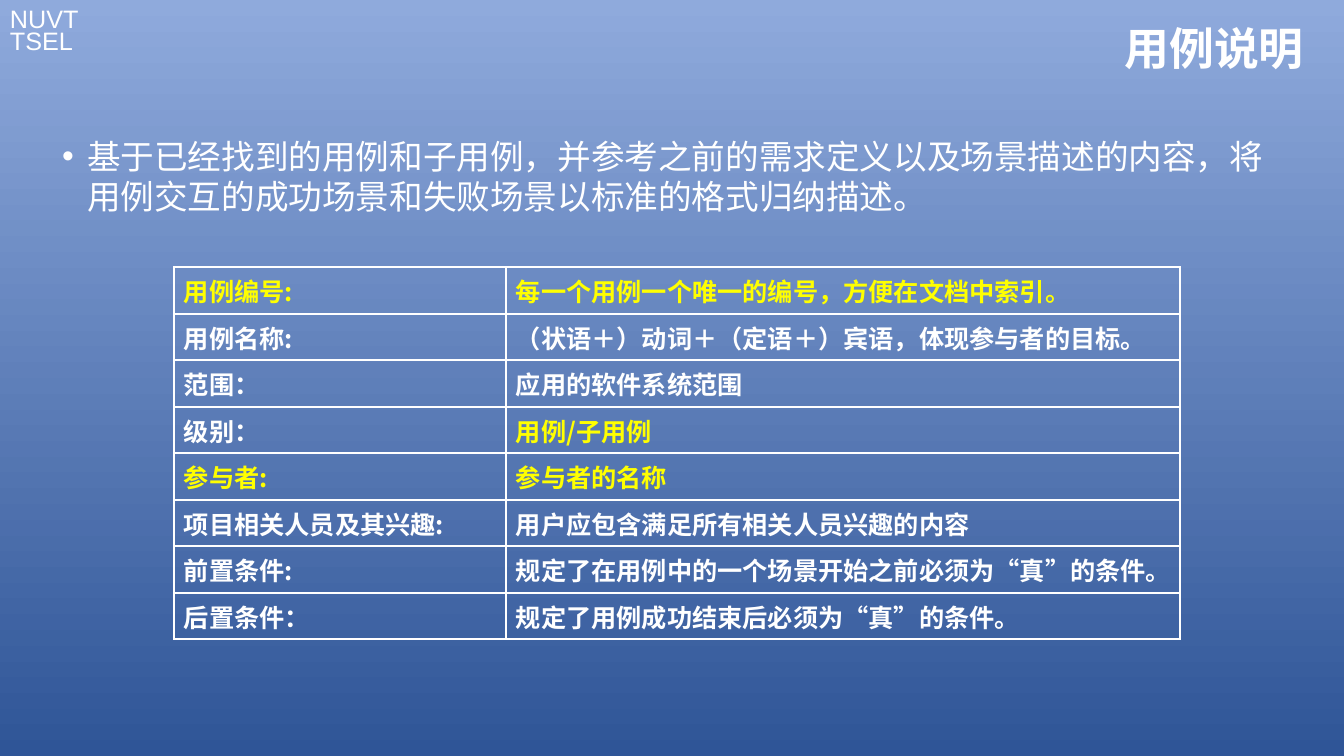
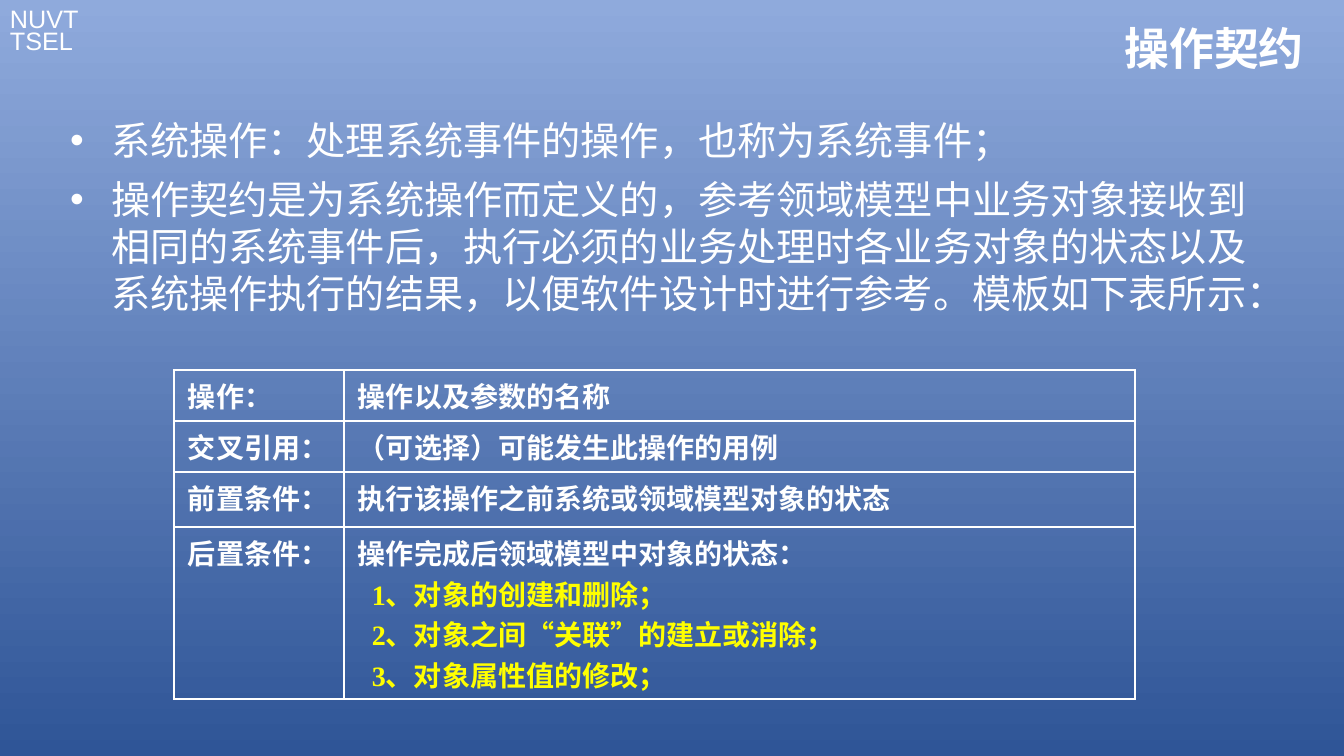
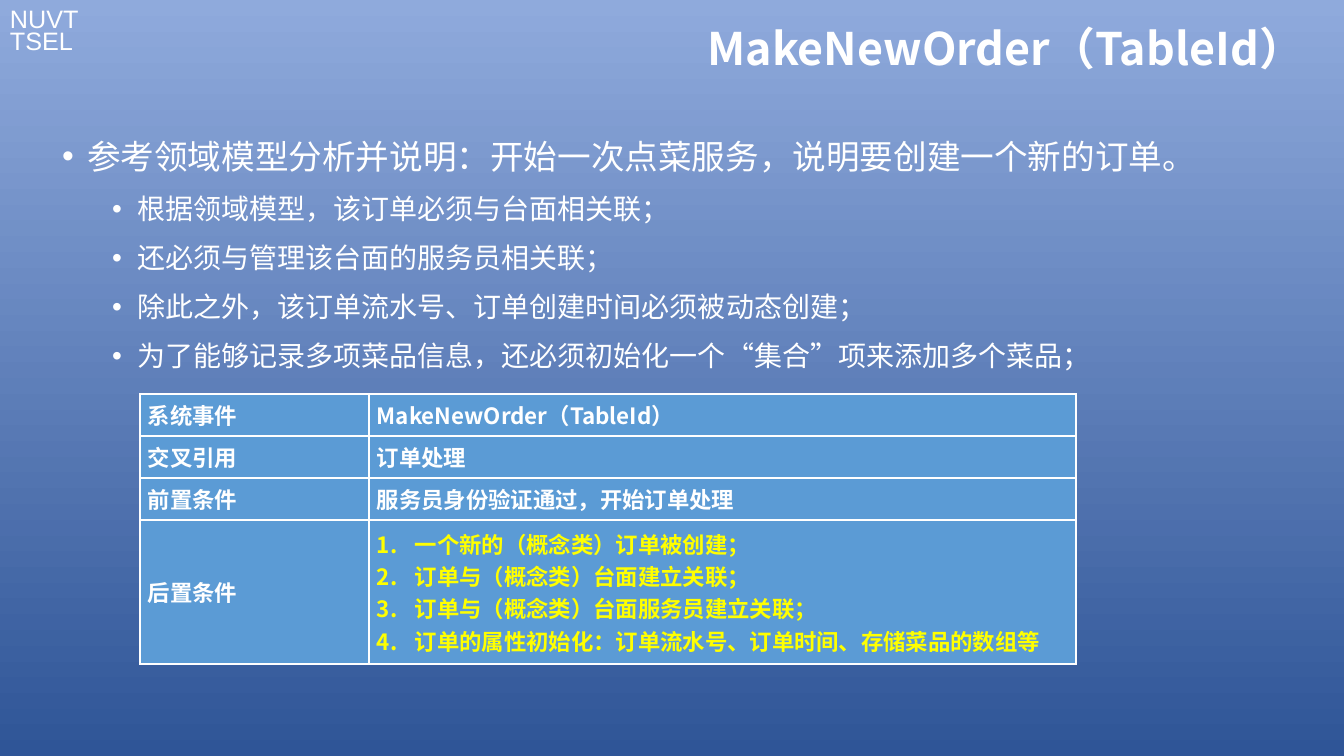
from dataclasses import dataclass

from lxml.etree import SubElement
from pptx import Presentation
from pptx.dml.color import RGBColor
from pptx.enum.text import MSO_ANCHOR as Anchor, MSO_AUTO_SIZE as AutoSize, PP_ALIGN as Align
from pptx.oxml.ns import qn
from pptx.util import Emu, Pt

WHITE = RGBColor(0xFF, 0xFF, 0xFF)
YELLOW = RGBColor(0xFF, 0xFF, 0x00)
CELL_BLUE = RGBColor(0x5B, 0x9B, 0xD5)
SKY = RGBColor(0x8F, 0xAA, 0xDC)
NAVY = RGBColor(0x2F, 0x55, 0x97)

SANS = "Noto Sans CJK SC"
SERIF = "Times New Roman"
ARIAL = "Arial"

PAGE_WIDTH, PAGE_HEIGHT = 1344, 756
EMU_PER_PX = 12192000 / PAGE_WIDTH
BODY_AREA = (52, 131, 1230, 549)


def px(length):
    return Emu(round(length * EMU_PER_PX))


@dataclass
class Line:
    """One paragraph of a table cell."""
    text: str
    color: RGBColor = WHITE
    indent: int = 0
    numbered: bool = False


def yellow(text, **options):
    return Line(text, YELLOW, **options)


class Deck:
    def __init__(self):
        self.file = Presentation()
        self.file.slide_width = px(PAGE_WIDTH)
        self.file.slide_height = px(PAGE_HEIGHT)
        self.page = None
        fill = self.file.slide_master.background.fill
        fill.gradient()
        fill.gradient_angle = 270
        for stop, color in zip(fill.gradient_stops, (SKY, NAVY)):
            stop.color.rgb = color

    def add_page(self, title):
        self.page = self.file.slides.add_slide(self.file.slide_layouts[1])
        self.brand()
        shape = self.page.shapes.title
        self.place(shape, 175, 15, 1139, 72)
        frame = shape.text_frame
        frame.auto_size = AutoSize.NONE
        frame.vertical_anchor = Anchor.MIDDLE
        para = frame.paragraphs[0]
        para.text = title
        para.alignment = Align.RIGHT
        para.line_spacing = 0.9
        self.style(para, 32, bold=True)

    def brand(self):
        box = self.page.shapes.add_textbox(px(0), px(5), px(153), px(57))
        box.text_frame.word_wrap = True
        para = box.text_frame.paragraphs[0]
        para.text = "NUVT\vTSEL"
        para.line_spacing = 0.75
        self.style(para, 18, font=ARIAL)

    def place(self, shape, left, top, width, height):
        shape.left, shape.top = px(left), px(top)
        shape.width, shape.height = px(width), px(height)

    def style(self, para, size, color=WHITE, font=SANS, bold=False):
        para.font.size = Pt(size)
        para.font.bold = bold
        para.font.color.rgb = color
        para.font.name = font
        defaults = para._p.get_or_add_pPr().find(qn("a:defRPr"))
        SubElement(defaults, qn("a:ea")).set("typeface", SANS)

    def indent(self, para, left, hanging=0):
        props = para._p.get_or_add_pPr()
        props.set("marL", str(px(left)))
        props.set("indent", str(-px(hanging)))
        return props

    def bullets(self, items, area, sizes, hanging, gap):
        """Fill the body with (level, text) items; sizes holds points by level."""
        body = self.page.placeholders[1]
        self.place(body, *area)
        frame = body.text_frame
        frame.auto_size = AutoSize.NONE
        frame.vertical_anchor = Anchor.TOP
        for index, (level, text) in enumerate(items):
            para = frame.add_paragraph() if index else frame.paragraphs[0]
            para.text = text
            para.level = level
            para.line_spacing = 1.0
            para.space_before = Pt(0)
            para.space_after = Pt(gap)
            props = self.indent(para, hanging + 50 * level, hanging)
            SubElement(props, qn("a:buFont")).set("typeface", ARIAL)
            SubElement(props, qn("a:buChar")).set("char", "•")
            self.style(para, sizes[level])

    def table(self, rows, at, widths, heights, size, insets, font=SANS,
              fill=None, anchor=Anchor.TOP):
        """Draw a table; a None joins its cell to the one on its left."""
        frame = self.page.shapes.add_table(
            len(rows), len(widths), px(at[0]), px(at[1]), px(sum(widths)), px(sum(heights)))
        grid = frame.table
        grid.first_row = grid.horz_banding = False
        for column, width in zip(grid.columns, widths):
            column.width = px(width)
        for row, height, contents in zip(grid.rows, heights, rows):
            row.height = px(height)
            owner = None
            for cell, content in zip(row.cells, contents):
                cell.margin_left = cell.margin_right = px(insets[0])
                cell.margin_top = cell.margin_bottom = px(insets[1])
                cell.vertical_anchor = anchor
                self.border(cell)
                if fill is None:
                    cell.fill.background()
                else:
                    cell.fill.solid()
                    cell.fill.fore_color.rgb = fill
                if content is not None:
                    owner, last = cell, None
                    self.fill_cell(cell, content, size, font)
                else:
                    last = cell
                    if owner.is_merge_origin:
                        owner.split()
                    owner.merge(last)

    def fill_cell(self, cell, content, size, font):
        """Write a string, a Line or a list of Lines."""
        lines = content if isinstance(content, list) else [content]
        for index, line in enumerate(lines):
            if isinstance(line, str):
                line = Line(line)
            frame = cell.text_frame
            para = frame.add_paragraph() if index else frame.paragraphs[0]
            para.text = line.text
            props = self.indent(para, line.indent, line.indent if line.numbered else 0)
            if line.numbered:
                SubElement(props, qn("a:buFont")).set("typeface", SANS)
                SubElement(props, qn("a:buAutoNum")).set("type", "arabicPeriod")
            self.style(para, size, line.color, font, bold=True)

    def border(self, cell):
        props = cell._tc.get_or_add_tcPr()
        for side in ("a:lnL", "a:lnR", "a:lnT", "a:lnB"):
            edge = SubElement(props, qn(side))
            edge.set("w", str(Pt(1)))
            paint = SubElement(edge, qn("a:solidFill"))
            SubElement(paint, qn("a:srgbClr")).set("val", str(WHITE))


def use_case_page(deck):
    deck.add_page("用例说明")
    deck.bullets(
        [(0, "基于已经找到的用例和子用例，并参考之前的需求定义以及场景描述的内容，"
             "将用例交互的成功场景和失败场景以标准的格式归纳描述。")],
        area=BODY_AREA, sizes=[24], hanging=25, gap=11)
    fields = [
        (yellow("用例编号:"), yellow("每一个用例一个唯一的编号，方便在文档中索引。")),
        ("用例名称:", "（状语＋）动词＋（定语＋）宾语，体现参与者的目标。"),
        ("范围：", "应用的软件系统范围"),
        ("级别：", yellow("用例/子用例")),
        (yellow("参与者:"), yellow("参与者的名称")),
        ("项目相关人员及其兴趣:", "用户应包含满足所有相关人员兴趣的内容"),
        ("前置条件:", "规定了在用例中的一个场景开始之前必须为“真”的条件。"),
        ("后置条件：", "规定了用例成功结束后必须为“真”的条件。"),
    ]
    rows = [(label, None, None, meaning) for label, meaning in fields]
    deck.table(rows, at=(174, 267), widths=[97, 177, 58, 674], heights=[47, 46] * 4,
               size=18, insets=(10, 5))


def contract_page(deck):
    deck.add_page("操作契约")
    deck.bullets(
        [(0, "系统操作：处理系统事件的操作，也称为系统事件；"),
         (0, "操作契约是为系统操作而定义的，参考领域模型中业务对象接收到相同的系统事件后，"
             "执行必须的业务处理时各业务对象的状态以及系统操作执行的结果，"
             "以便软件设计时进行参考。模板如下表所示：")],
        area=(60, 111, 1223, 207), sizes=[28], hanging=41, gap=8.6)
    effects = ["1、对象的创建和删除；", "2、对象之间“关联”的建立或消除；", "3、对象属性值的修改；"]
    rows = [
        ("操作：", "操作以及参数的名称"),
        ("交叉引用：", "（可选择）可能发生此操作的用例"),
        ("前置条件：", "执行该操作之前系统或领域模型对象的状态"),
        ("后置条件：", [Line("操作完成后领域模型中对象的状态：")]
         + [yellow(effect, indent=14) for effect in effects]),
    ]
    deck.table(rows, at=(174, 370), widths=[170, 791], heights=[51, 51, 55, 172],
               size=20, insets=(14, 5), font=SERIF)


def order_page(deck):
    operation = "MakeNewOrder（TableId）"
    deck.add_page(operation)
    deck.bullets(
        [(0, "参考领域模型分析并说明：开始一次点菜服务，说明要创建一个新的订单。"),
         (1, "根据领域模型，该订单必须与台面相关联；"),
         (1, "还必须与管理该台面的服务员相关联；"),
         (1, "除此之外，该订单流水号、订单创建时间必须被动态创建；"),
         (1, "为了能够记录多项菜品信息，还必须初始化一个“集合”项来添加多个菜品；")],
        area=BODY_AREA, sizes=[24, 20], hanging=25, gap=11)
    effects = ["一个新的（概念类）订单被创建；", "订单与（概念类）台面建立关联；",
               "订单与（概念类）台面服务员建立关联；",
               "订单的属性初始化：订单流水号、订单时间、存储菜品的数组等"]
    rows = [
        ("系统事件", operation),
        ("交叉引用", "订单处理"),
        ("前置条件", "服务员身份验证通过，开始订单处理"),
        ("后置条件", [yellow(effect, indent=38, numbered=True) for effect in effects]),
    ]
    deck.table(rows, at=(140, 394), widths=[229, 707], heights=[42, 42, 42, 144],
               size=16, insets=(8, 0), fill=CELL_BLUE, anchor=Anchor.MIDDLE)


def main():
    deck = Deck()
    use_case_page(deck)
    contract_page(deck)
    order_page(deck)
    deck.file.save("out.pptx")


if __name__ == "__main__":
    main()
